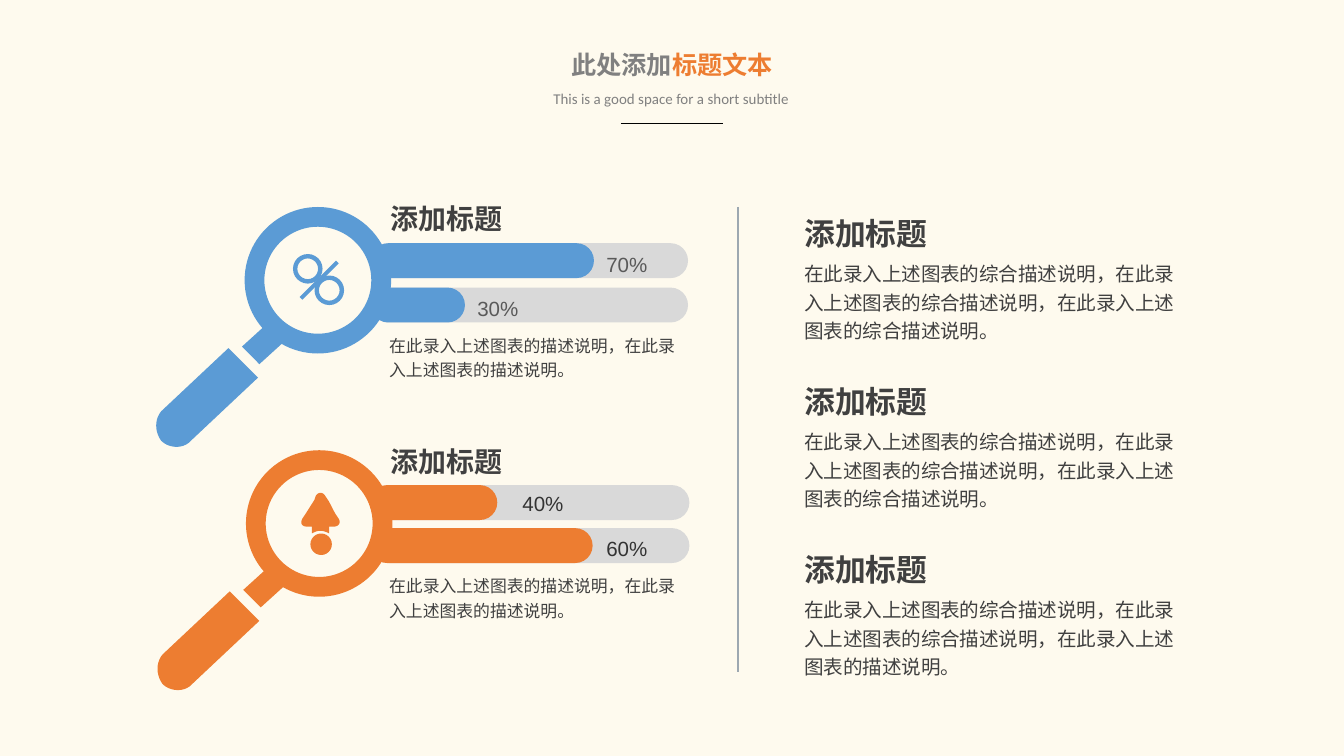
import pptx
import pptx.dml.color
import pptx.enum.shapes
import pptx.enum.text
import pptx.oxml
import pptx.oxml.ns
import pptx.util

Inches = pptx.util.Inches
Pt = pptx.util.Pt
SHAPE = pptx.enum.shapes.MSO_SHAPE
ALIGN = pptx.enum.text.PP_ALIGN

COLORS = {
    "background": "FEFAEE", "gray": "808080", "orange": "ED7D31",
    "blue": "5B9BD5", "track": "D9D9D9", "text": "404040",
    "blue_label": "595959", "orange_label": "333333",
    "rule": "000000", "divider": "9DA8B1",
}
CJK = "Noto Sans CJK SC"
HEADING = "添加标题"
CHART_NOTE = "在此录入上述图表的描述说明，在此录入上述图表的描述说明。"
SUMMARY = "在此录入上述图表的综合描述说明，"
# Text insets in points: sides, then top and bottom
NARROW, WIDE = (5.4, 2.7), (7.2, 3.6)

# Outlines: a pair is a corner, six numbers are a Bezier curve
NECK = [(2.15, 2.51), (1.93, 2.71), (1.8, 2.58), (2.02, 2.38)]
HANDLE = [(1.7, 2.59), (1.2, 3.06), (1.15, 3.12, 1.15, 3.21, 1.2, 3.28),
          (1.26, 3.34, 1.37, 3.34, 1.42, 3.28), (1.92, 2.81)]
SLASH = [(2.52, 1.96), (2.25, 2.23), (2.23, 2.21), (2.5, 1.94)]
ARROW = [(2.5, 3.83), (2.48, 3.8, 2.46, 3.75, 2.44, 3.72), (2.42, 3.69),
         (2.4, 3.66, 2.37, 3.66, 2.35, 3.69), (2.34, 3.72),
         (2.32, 3.75, 2.29, 3.8, 2.27, 3.83), (2.25, 3.86),
         (2.23, 3.9, 2.25, 3.92, 2.29, 3.92), (2.32, 3.92), (2.32, 3.97),
         (2.34, 3.96, 2.36, 3.95, 2.38, 3.95),
         (2.41, 3.95, 2.43, 3.96, 2.45, 3.97), (2.45, 3.92), (2.48, 3.92),
         (2.52, 3.92, 2.54, 3.89, 2.52, 3.86)]


def rgb(name):
    return pptx.dml.color.RGBColor.from_string(COLORS[name])


def paint(shape, color):
    shape.shadow.inherit = False
    shape.fill.solid()
    shape.fill.fore_color.rgb = rgb(color)
    shape.line.fill.background()


def add_preset(shapes, kind, left, top, width, height, color, adjustment=None):
    shape = shapes.add_shape(kind, Inches(left), Inches(top),
                             Inches(width), Inches(height))
    if adjustment is not None:
        shape.adjustments[0] = adjustment
    paint(shape, color)


def trace(outline, steps=10):
    """Turn an outline with Bezier curves into a list of corners."""
    points = []
    for part in outline:
        if len(part) == 2:
            points.append(part)
            continue
        nodes = [points[-1], part[:2], part[2:4], part[4:]]
        for step in range(1, steps + 1):
            t = step / steps
            weights = ((1 - t) ** 3, 3 * t * (1 - t) ** 2,
                       3 * t * t * (1 - t), t ** 3)
            points.append(tuple(sum(w * node[axis] for w, node in zip(weights, nodes))
                                for axis in (0, 1)))
    return points


def add_outline(shapes, outline, color, dx=0, dy=0):
    corners = [(Inches(x + dx), Inches(y + dy)) for x, y in trace(outline)]
    builder = shapes.build_freeform(*corners[0], scale=1.0)
    builder.add_line_segments(corners[1:], close=True)
    paint(builder.convert_to_shape(), color)


def add_run(paragraph, text, size, font, color, bold=False):
    run = paragraph.add_run()
    run.text = text
    run.font.size = Pt(size)
    run.font.name = font
    run.font.bold = bold
    run.font.color.rgb = rgb(color)
    latin = run.font._element.find(pptx.oxml.ns.qn("a:latin"))
    latin.addnext(pptx.oxml.parse_xml(
        f'<a:ea {pptx.oxml.ns.nsdecls("a")} typeface="{CJK}"/>'))


def add_text(shapes, box, text, size, font, color, bold=False, wrap=True,
             align=ALIGN.LEFT, spacing=None, insets=NARROW):
    frame = shapes.add_textbox(*map(Inches, box)).text_frame
    frame.word_wrap = wrap
    frame.margin_left = frame.margin_right = Pt(insets[0])
    frame.margin_top = frame.margin_bottom = Pt(insets[1])
    paragraph = frame.paragraphs[0]
    paragraph.alignment = align
    if spacing:
        paragraph.line_spacing = spacing
    add_run(paragraph, text, size, font, color, bold)


def add_rule(shapes, start, end, color, width):
    rule = shapes.add_connector(pptx.enum.shapes.MSO_CONNECTOR.STRAIGHT,
                                *map(Inches, start + end))
    rule.line.color.rgb = rgb(color)
    rule.line.width = Pt(width)
    rule._element.spPr.append(pptx.oxml.parse_xml(
        f'<a:effectLst {pptx.oxml.ns.nsdecls("a")}/>'))


def add_header(slide):
    title = slide.shapes.title
    title.left, title.top = Inches(4.14), Inches(0.32)
    title.width, title.height = Inches(1.72), Inches(0.33)
    frame = title.text_frame
    frame.word_wrap = False
    frame.auto_size = pptx.enum.text.MSO_AUTO_SIZE.NONE
    frame.vertical_anchor = pptx.enum.text.MSO_ANCHOR.TOP
    paragraph = frame.paragraphs[0]
    paragraph.alignment = ALIGN.CENTER
    add_run(paragraph, "此处添加", 13.5, "Calibri", "gray", True)
    add_run(paragraph, "标题文本", 13.5, "Calibri", "orange", True)
    add_text(slide.shapes, (4.01, 0.62, 1.97, 0.24),
             "This is a good space for a short subtitle", 8, "Calibri", "gray",
             wrap=False, align=ALIGN.CENTER, insets=WIDE)
    add_rule(slide.shapes, (4.62, 0.92), (5.38, 0.92), "rule", 0.5)


def add_bar(shapes, track_left, fill_left, top, length, color, label, label_box):
    bar = shapes.add_group_shape().shapes
    for left, width, fill in ((track_left, 2.36, "track"), (fill_left, length, color)):
        add_preset(bar, SHAPE.ROUNDED_RECTANGLE, left, top, width, 0.26, fill, 0.5)
    add_text(bar, label_box, label, 11, "Arial", color + "_label",
             align=ALIGN.CENTER, spacing=1.2, insets=WIDE)


def add_magnifier(shapes, color, dx=0, dy=0):
    glass = shapes.add_group_shape().shapes
    add_outline(glass, NECK, color, dx, dy)
    add_preset(glass, SHAPE.DONUT, 1.82 + dx, 1.54 + dy, 1.09, 1.09, color, 0.135)
    add_outline(glass, HANDLE, color, dx, dy)
    return glass


def main():
    deck = pptx.Presentation()
    deck.slide_width, deck.slide_height = Inches(10), Inches(10 * 9 / 16)
    slide = deck.slides.add_slide(deck.slide_layouts[5])
    slide.background.fill.solid()
    slide.background.fill.fore_color.rgb = rgb("background")
    shapes = slide.shapes

    add_header(slide)
    add_rule(shapes, (5.49, 1.54), (5.49, 5), "divider", 1)

    # Percentage bars
    add_bar(shapes, 2.76, 2.76, 1.81, 1.66, "blue", "70%", (4.4, 1.79, 0.53, 0.32))
    add_bar(shapes, 2.76, 2.76, 2.14, 0.7, "blue", "30%", (3.44, 2.12, 0.53, 0.32))
    add_bar(shapes, 2.77, 2.75, 3.61, 0.95, "orange", "40%", (3.68, 3.57, 0.72, 0.32))
    add_bar(shapes, 2.77, 2.75, 3.93, 1.66, "orange", "60%", (4.4, 3.9, 0.53, 0.32))

    # Magnifiers with a percent sign and an arrow inside
    percent_glass = add_magnifier(shapes, "blue")
    for left, top in ((2.18, 1.89), (2.34, 2.05)):
        add_preset(percent_glass, SHAPE.DONUT, left, top, 0.22, 0.22, "blue", 0.15)
    add_outline(percent_glass, SLASH, "blue")
    arrow_glass = add_magnifier(shapes, "orange", 0.01, 1.81)
    add_outline(arrow_glass, ARROW, "orange")
    add_preset(arrow_glass, SHAPE.OVAL, 2.31, 3.97, 0.16, 0.16, "orange")

    # Summaries on the right
    for row, ending in enumerate(("综合描述说明。", "综合描述说明。", "描述说明。")):
        top = 1.56 + 1.25 * row
        add_text(shapes, (5.91, top, 1.08, 0.35), HEADING, 16.5, CJK, "text",
                 bold=True, wrap=False)
        add_text(shapes, (5.91, top + 0.32, 2.97, 0.71),
                 SUMMARY * 2 + "在此录入上述图表的" + ending, 10.5, CJK, "text",
                 spacing=1.2)

    # Headings and notes around the bars
    for heading_top, note_top in ((1.46, 2.43), (3.27, 4.22)):
        add_text(shapes, (2.83, heading_top, 0.99, 0.33), HEADING, 15, CJK, "text",
                 bold=True, wrap=False)
        add_text(shapes, (2.82, note_top, 2.31, 0.44), CHART_NOTE, 9, CJK, "text",
                 spacing=1.2)

    deck.save("out.pptx")


if __name__ == "__main__":
    main()
